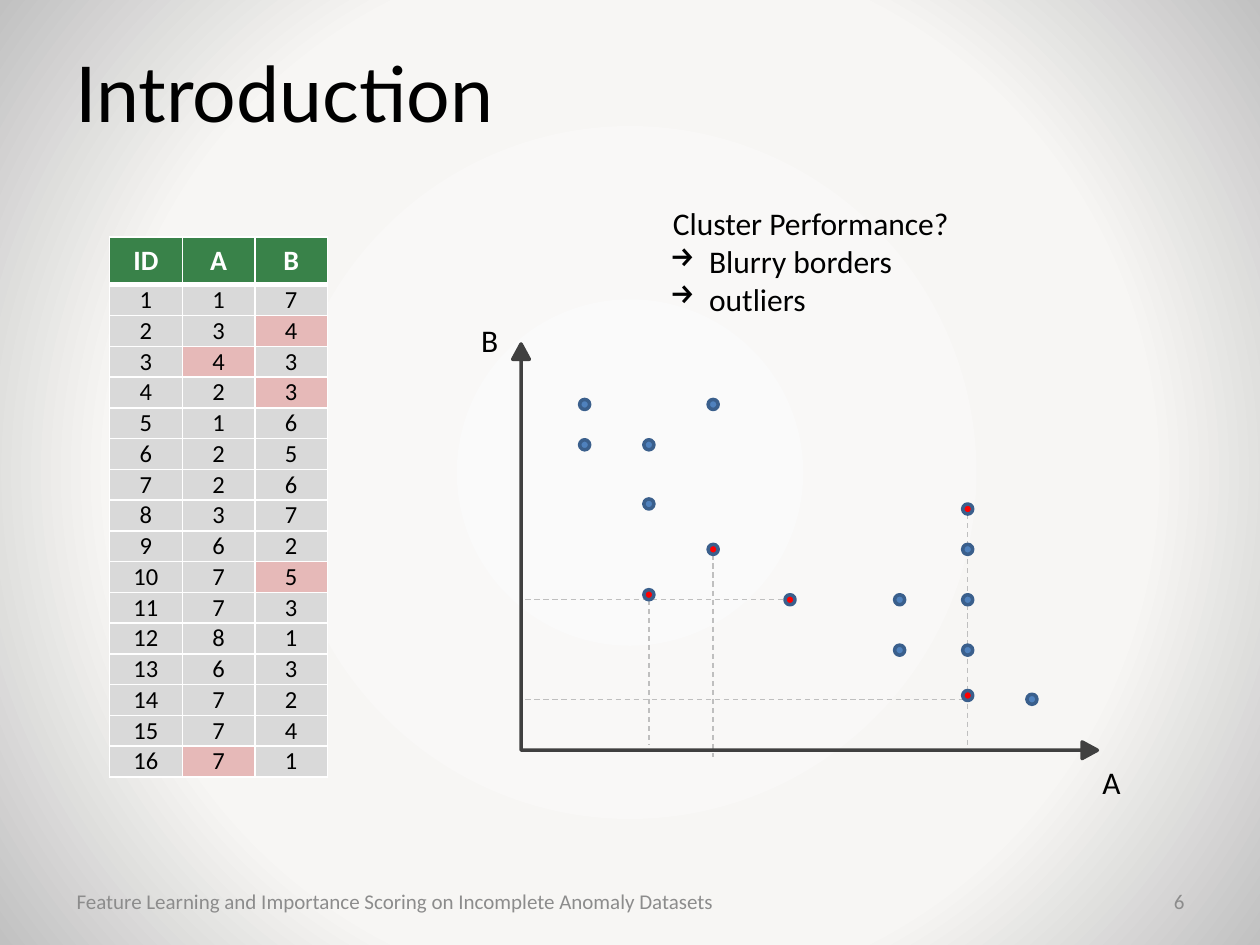
from lxml import etree
from pptx import Presentation
from pptx.dml.color import RGBColor
from pptx.enum.dml import MSO_LINE
from pptx.enum.shapes import MSO_CONNECTOR, MSO_SHAPE
from pptx.enum.text import MSO_ANCHOR, MSO_AUTO_SIZE, PP_ALIGN
from pptx.oxml import parse_xml
from pptx.oxml.ns import nsdecls, qn
from pptx.util import Inches, Pt

BLACK = RGBColor(0x00, 0x00, 0x00)
WHITE = RGBColor(0xFF, 0xFF, 0xFF)
GREY = RGBColor(0x8C, 0x8C, 0x8C)
AXIS = RGBColor(0x40, 0x40, 0x40)
GUIDE = RGBColor(0xBF, 0xBF, 0xBF)
HEADER = RGBColor(0x39, 0x82, 0x49)
CELL = RGBColor(0xD9, 0xD9, 0xD9)
MISSING = RGBColor(0xE6, 0xB9, 0xB8)
DOT = RGBColor(0x4F, 0x81, 0xBD)
DOT_LINE = RGBColor(0x3A, 0x5F, 0x8C)
RED = RGBColor(0xFF, 0x00, 0x00)
BACKDROP = [(0, "FAFAFA"), (66, "F7F6F4"), (100, "C1C1C1")]

TITLE = "Introduction"
FOOTER = "Feature Learning and Importance Scoring on Incomplete Anomaly Datasets"
PAGE = "6"
QUESTION = "Cluster Performance?"
ANSWERS = ["Blurry borders", "outliers"]
HEADINGS = ["ID", "A", "B"]
POINTS = [(1, 7), (3, 4), (4, 3), (2, 3), (1, 6), (2, 5), (2, 6), (3, 7),
          (6, 2), (7, 5), (7, 3), (8, 1), (6, 3), (7, 2), (7, 4), (7, 1)]
MISSING_FIELD = {2: "B", 3: "A", 4: "B", 10: "B", 16: "A"}

A_SCALE = {1: 4.64, 2: 5.15, 3: 5.66, 4: 6.27, 6: 7.14, 7: 7.68, 8: 8.19}
B_SCALE = {7: 3.21, 6: 3.53, 5: 4.0, 4: 4.36, 3: 4.76, 2: 5.16, 1: 5.55}
B_SHIFT = {4: -0.04, 10: 0.04, 16: -0.03}
GUIDE_LEFT, GUIDE_BOTTOM = 4.17, 5.91
LONG_GUIDE = {2: 6.01}
RADIUS = 0.04
TABLE_BOX = (0.87, 1.88, 1.73, 4.29)
HEADER_HEIGHT = 0.38


def box(*lengths):
    return [Inches(length) for length in lengths]


def style(paragraph, size, color, font="Calibri", align=PP_ALIGN.LEFT, bold=False):
    paragraph.alignment = align
    for run in paragraph.runs:
        run.font.size, run.font.name, run.font.bold = Pt(size), font, bold
        run.font.color.rgb = color


def add_text(slide, area, lines, size, color=BLACK, font="Calibri",
             align=PP_ALIGN.LEFT, wrap=True, anchor=MSO_ANCHOR.MIDDLE):
    frame = slide.shapes.add_textbox(*box(*area)).text_frame
    frame.word_wrap, frame.vertical_anchor = wrap, anchor
    frame.auto_size = MSO_AUTO_SIZE.NONE if wrap else MSO_AUTO_SIZE.SHAPE_TO_FIT_TEXT
    frame.text = "\n".join(lines)
    for paragraph in frame.paragraphs:
        style(paragraph, size, color, font, align)
    return frame


def paint_background(slide):
    fill = slide.background.fill
    fill.gradient()
    gradient = slide._element.find(".//" + qn("a:gradFill"))
    stops = "".join(f'<a:gs pos="{pos * 1000}"><a:srgbClr val="{color}"/></a:gs>'
                    for pos, color in BACKDROP)
    gradient.getparent().replace(gradient, parse_xml(
        f'<a:gradFill {nsdecls("a")} rotWithShape="1"><a:gsLst>{stops}</a:gsLst>'
        '<a:path path="circle"><a:fillToRect l="50000" t="50000" r="50000" b="50000"/>'
        '</a:path></a:gradFill>'))


def add_guide(slide, start, end):
    guide = slide.shapes.add_connector(MSO_CONNECTOR.STRAIGHT, *box(*start, *end))
    guide.line.color.rgb, guide.line.width = GUIDE, Pt(0.75)
    guide.line.dash_style = MSO_LINE.DASH
    etree.SubElement(guide._element.spPr, qn("a:effectLst"))


def add_solid(slide, kind, area, fill, line):
    shape = slide.shapes.add_shape(kind, *box(*area))
    shape.shadow.inherit = False
    shape.fill.solid()
    shape.fill.fore_color.rgb = fill
    shape.line.color.rgb, shape.line.width = line, Pt(2)
    return shape


def add_plot(slide):
    dots = []
    for number, (a, b) in enumerate(POINTS, 1):
        x, level = A_SCALE[a], B_SCALE[b]
        y = level + B_SHIFT.get(number, 0)
        field = MISSING_FIELD.get(number)
        dots.append((x, y, RED if field else DOT))
        if field == "A":
            add_guide(slide, (GUIDE_LEFT, level), (x - RADIUS, level))
        elif field == "B":
            add_guide(slide, (x, y + RADIUS), (x, LONG_GUIDE.get(number, GUIDE_BOTTOM)))

    axes = add_solid(slide, MSO_SHAPE.LEFT_UP_ARROW, (4.07, 2.73, 4.64, 3.29), AXIS, AXIS)
    for index, share in enumerate((0, 0.02, 0.037)):
        axes.adjustments[index] = share
    axes._element.spPr.find(qn("a:xfrm")).set("flipH", "1")
    for x, y, color in dots:
        add_solid(slide, MSO_SHAPE.OVAL,
                  (x - RADIUS, y - RADIUS, 2 * RADIUS, 2 * RADIUS), color, DOT_LINE)
    for name, left, top in (("A", 8.65, 6.01), ("B", 3.72, 2.5)):
        add_text(slide, (left, top, 0.35, 0.4), [name], 18, wrap=False,
                 anchor=MSO_ANCHOR.TOP)


def set_borders(cell, row):
    widths = {"L": 1, "R": 1, "T": 3 if row == 1 else 1, "B": 3 if row == 0 else 1}
    for index, (side, width) in enumerate(widths.items()):
        cell._tc.get_or_add_tcPr().insert(index, parse_xml(
            f'<a:ln{side} {nsdecls("a")} w="{Pt(width)}"><a:solidFill>'
            f'<a:srgbClr val="{WHITE}"/></a:solidFill></a:ln{side}>'))


def add_data_table(slide):
    rows = [HEADINGS] + [(n, *point) for n, point in enumerate(POINTS, 1)]
    table = slide.shapes.add_table(len(rows), len(HEADINGS), *box(*TABLE_BOX)).table
    table.horz_banding = False
    for column in table.columns:
        column.width = Inches(TABLE_BOX[2] / len(HEADINGS))
    body_height = (TABLE_BOX[3] - HEADER_HEIGHT) / len(POINTS)
    for r, values in enumerate(rows):
        table.rows[r].height = Inches(body_height if r else HEADER_HEIGHT)
        for c, value in enumerate(values):
            cell = table.cell(r, c)
            cell.text = str(value)
            cell.vertical_anchor = MSO_ANCHOR.MIDDLE
            if r:
                cell.margin_top = cell.margin_bottom = 0
            missing = MISSING_FIELD.get(r) == HEADINGS[c]
            cell.fill.solid()
            cell.fill.fore_color.rgb = HEADER if r == 0 else MISSING if missing else CELL
            style(cell.text_frame.paragraphs[0], 14 if r else 16,
                  BLACK if r else WHITE, align=PP_ALIGN.CENTER, bold=r == 0)
            set_borders(cell, r)


def add_question(slide):
    frame = add_text(slide, (5.22, 1.57, 2.43, 1.01), [QUESTION, *ANSWERS], 18,
                     wrap=False, anchor=MSO_ANCHOR.TOP)
    question, *answers = frame.paragraphs
    question.alignment = PP_ALIGN.CENTER
    for answer in answers:
        properties = answer._p.get_or_add_pPr()
        properties.set("marL", str(Inches(0.31)))
        properties.set("indent", str(-Inches(0.31)))
        etree.SubElement(properties, qn("a:buChar")).set("char", "→")


def main():
    deck = Presentation()
    deck.slide_width, deck.slide_height = box(10, 7.5)
    slide = deck.slides.add_slide(deck.slide_layouts[6])
    paint_background(slide)
    add_text(slide, (0.5, 0.3, 9, 0.85), [TITLE], 44, font="Lato")
    add_text(slide, (0.51, 6.95, 7.24, 0.4), [FOOTER], 12, GREY)
    add_text(slide, (7.91, 6.95, 1.59, 0.4), [PAGE], 12, GREY, align=PP_ALIGN.RIGHT)
    add_plot(slide)
    add_data_table(slide)
    add_question(slide)
    deck.save("out.pptx")


if __name__ == "__main__":
    main()
